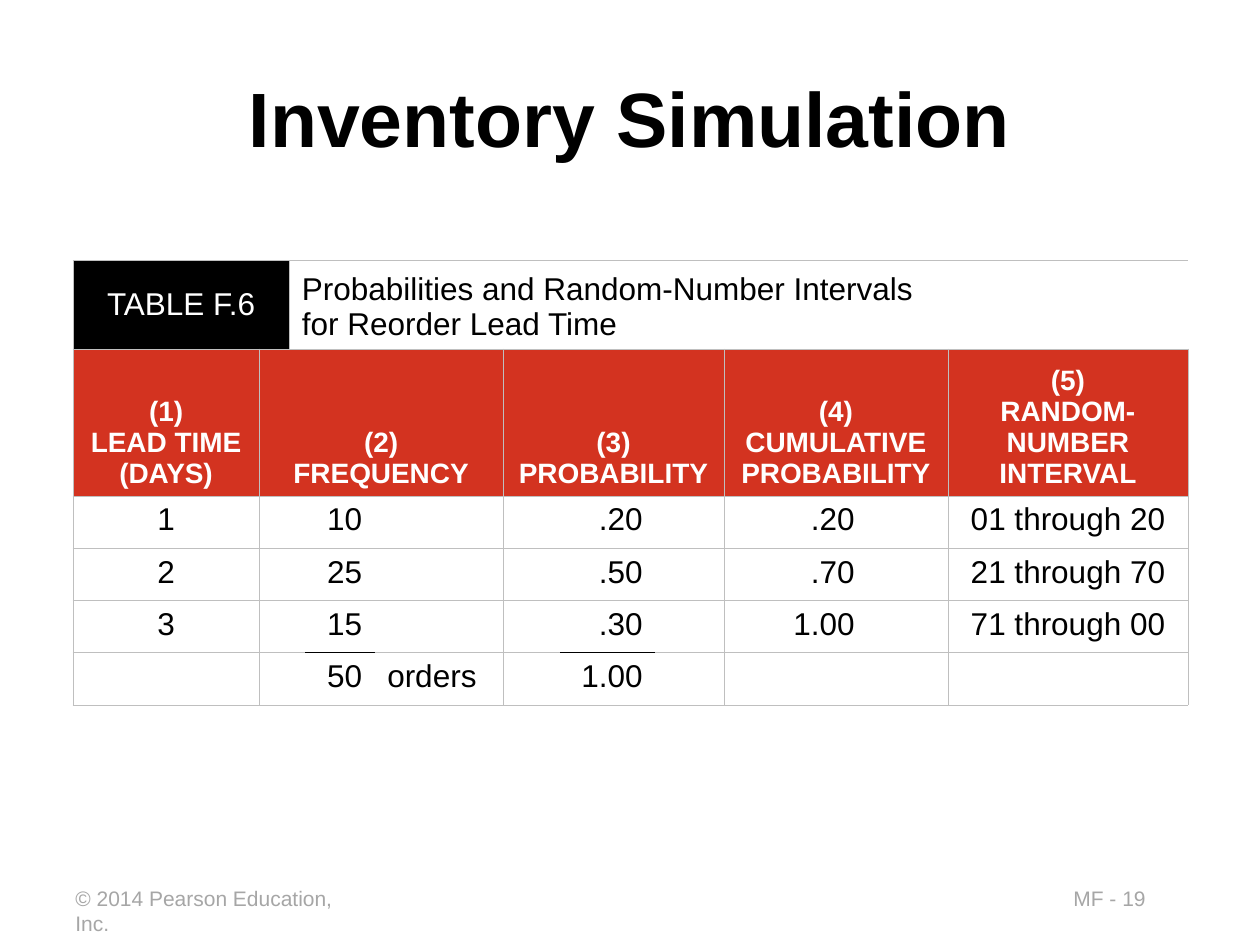
from lxml.etree import SubElement
from pptx import Presentation
from pptx.dml.color import RGBColor
from pptx.enum.text import MSO_ANCHOR as Anchor, PP_ALIGN as Align
from pptx.oxml.ns import qn
from pptx.util import Pt

COLORS = {"ink": "000000", "paper": "FFFFFF", "header": "D33320",
          "grid": "BFBFBF", "muted": "A6A6A6"}
FONT = "Arial"
COLUMN_WIDTHS = [106.4, 17.2, 9.2, 39.6, 73.4, 32.6, 54.4, 39.2, 128, 137.2]
ROW_HEIGHTS = [50.4, 84] + [29.9] * 4
CAPTION_GROUPS = [(0, 1), (2, 9)]
COLUMN_GROUPS = [(0, 0), (1, 4), (5, 7), (8, 8), (9, 9)]
FREQUENCY, UNIT, PROBABILITY, CUMULATIVE, INTERVAL = 3, 4, 6, 8, 9
CUMULATIVE_TAB = 67.5
LAST_TIME_ROW, TOTAL_ROW = 4, 5

HEADERS = [
    ["(1)", "LEAD TIME (DAYS)"],
    ["(2)", "FREQUENCY"],
    ["(3)", "PROBABILITY"],
    ["(4)", "CUMULATIVE", "PROBABILITY"],
    ["(5)", "RANDOM-NUMBER INTERVAL"],
]
LEAD_TIMES = [
    ("1", "10", ".20", ".20", "01 through 20"),
    ("2", "25", ".50", ".70", "21 through 70"),
    ("3", "15", ".30", "1.00", "71 through 00"),
]


def color(name):
    return RGBColor.from_string(COLORS[name])


def write(frame, *lines, size=18, ink="ink", bold=False, align=Align.LEFT, tab=None):
    for index, line in enumerate(lines):
        para = frame.paragraphs[0] if index == 0 else frame.add_paragraph()
        para.alignment = align
        if tab:
            stops = SubElement(para._p.get_or_add_pPr(), qn("a:tabLst"))
            SubElement(stops, qn("a:tab"), pos=str(Pt(tab)), algn="r")
        span = para.add_run()
        span.text = line
        span.font.name = FONT
        span.font.size = Pt(size)
        span.font.bold = bold
        span.font.color.rgb = color(ink)


def set_border(cell, side, name):
    line = SubElement(cell._tc.get_or_add_tcPr(), qn(f"a:ln{side}"), w=str(Pt(0.45)))
    if name is None:
        SubElement(line, qn("a:noFill"))
    else:
        fill = SubElement(line, qn("a:solidFill"))
        SubElement(fill, qn("a:srgbClr"), val=COLORS[name])


class SlideBuilder:
    def __init__(self, deck):
        self.slide = deck.slides.add_slide(deck.slide_layouts[5])

    def title(self, text):
        box = self.slide.shapes.title
        box.left, box.top, box.width, box.height = Pt(36), Pt(21.6), Pt(648), Pt(90)
        box.text_frame.vertical_anchor = Anchor.MIDDLE
        write(box.text_frame, text, size=44, bold=True, align=Align.CENTER)

    def footer(self, text, left, width):
        box = self.slide.shapes.add_textbox(Pt(left), Pt(502.6), Pt(width), Pt(21.6))
        box.text_frame.word_wrap = False
        write(box.text_frame, text, size=12, ink="muted")

    def grid(self, left, top):
        frame = self.slide.shapes.add_table(
            len(ROW_HEIGHTS), len(COLUMN_WIDTHS), Pt(left), Pt(top),
            Pt(sum(COLUMN_WIDTHS)), Pt(sum(ROW_HEIGHTS)))
        table = frame.table
        table.first_row = table.horz_banding = False
        for column, width in zip(table.columns, COLUMN_WIDTHS):
            column.width = Pt(width)
        for row, height in zip(table.rows, ROW_HEIGHTS):
            row.height = Pt(height)
        for row in range(len(ROW_HEIGHTS)):
            for first, last in COLUMN_GROUPS if row else CAPTION_GROUPS:
                for column in range(first, last + 1):
                    self.style_cell(table, row, column, column == first, column == last)
        return table

    def style_cell(self, table, row, column, starts, ends):
        cell = table.cell(row, column)
        summed = column in (FREQUENCY, PROBABILITY)
        set_border(cell, "L", "grid" if starts else None)
        set_border(cell, "R", "grid" if ends else None)
        set_border(cell, "T", "ink" if summed and row == TOTAL_ROW else "grid")
        set_border(cell, "B", "ink" if summed and row == LAST_TIME_ROW else "grid")
        cell.fill.background()

    def cell(self, table, row, column, *lines, last=None, fill=None,
             anchor=Anchor.TOP, **style):
        cell = table.cell(row, column)
        if last is not None and last > column:
            cell.merge(table.cell(row, last))
        if fill:
            cell.fill.solid()
            cell.fill.fore_color.rgb = color(fill)
        cell.vertical_anchor = anchor
        write(cell.text_frame, *lines, **style)

    def lead_time_table(self):
        table = self.grid(41.7, 149)
        self.cell(table, 0, 0, "TABLE F.6", last=1, fill="ink", ink="paper",
                  anchor=Anchor.MIDDLE, align=Align.CENTER)
        self.cell(table, 0, 2, "Probabilities and Random-Number Intervals",
                  "for Reorder Lead Time", last=9, anchor=Anchor.BOTTOM)
        for (first, last), lines in zip(COLUMN_GROUPS, HEADERS):
            self.cell(table, 1, first, *lines, last=last, fill="header", ink="paper",
                      anchor=Anchor.BOTTOM, size=16, bold=True, align=Align.CENTER)
        for row in range(2, TOTAL_ROW + 1):
            table.cell(row, 1).merge(table.cell(row, 2))
        for row, (days, count, chance, running, interval) in enumerate(LEAD_TIMES, 2):
            self.cell(table, row, 0, days, align=Align.CENTER)
            self.cell(table, row, FREQUENCY, count, align=Align.RIGHT)
            self.cell(table, row, PROBABILITY, chance, align=Align.RIGHT)
            self.cell(table, row, CUMULATIVE, "\t" + running, tab=CUMULATIVE_TAB)
            self.cell(table, row, INTERVAL, interval, align=Align.CENTER)
        self.cell(table, TOTAL_ROW, FREQUENCY, "50", align=Align.RIGHT)
        self.cell(table, TOTAL_ROW, UNIT, "orders")
        self.cell(table, TOTAL_ROW, PROBABILITY, "1.00", align=Align.RIGHT)


def main():
    deck = Presentation()
    deck.slide_width, deck.slide_height = Pt(720), Pt(540)
    page = SlideBuilder(deck)
    page.footer("MF - 19", 606.3, 97.2)
    page.footer("© 2014 Pearson Education, Inc.", 36, 183.6)
    page.title("Inventory Simulation")
    page.lead_time_table()
    deck.save("out.pptx")


if __name__ == "__main__":
    main()
